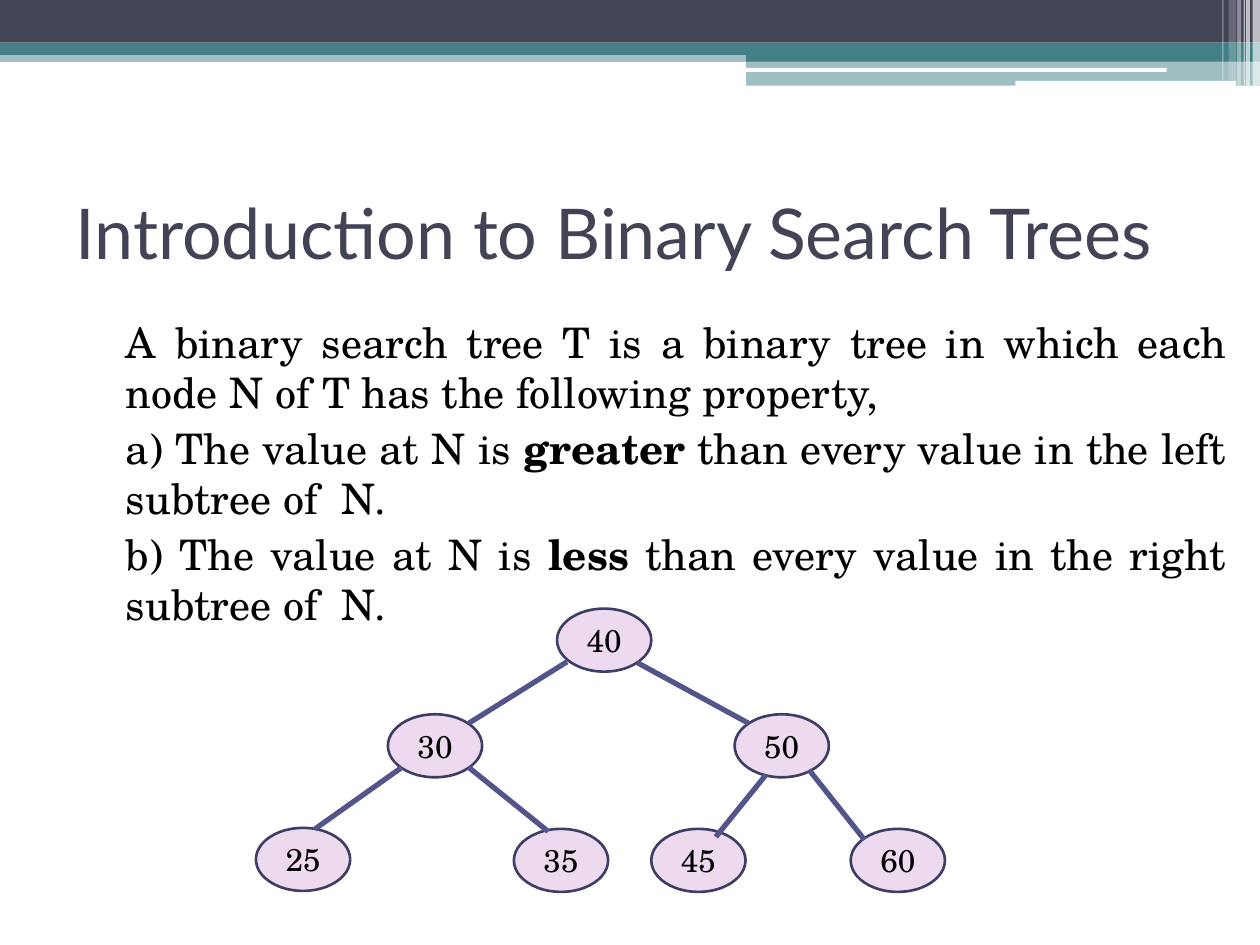
from lxml.etree import SubElement
from pptx import Presentation
from pptx.dml.color import RGBColor
from pptx.enum.shapes import MSO_CONNECTOR, MSO_SHAPE
from pptx.enum.text import MSO_ANCHOR, MSO_AUTO_SIZE, PP_ALIGN
from pptx.oxml.ns import qn
from pptx.util import Cm, Pt

COLOURS = {
    "dark": "424456",
    "teal": "438086",
    "white": "FFFFFF",
    "black": "000000",
    "node": "EDDAEE",
    "outline": "3D3E66",
    "edge": "53548A",
}
TITLE_FONT = "Lato"
BODY_FONT = "TeX Gyre Schola"
WIDTH, HEIGHT = 25.4, 19.05
NODE_WIDTH, NODE_HEIGHT = 1.9, 1.27

BANDS = [
    (0, 1.02, WIDTH, 0.23, "teal", 50),
    (0, 0, WIDTH, 0.86, "dark", 100),
    (0, 0.86, WIDTH, 0.25, "teal", 100),
    (15.04, 0.99, 10.36, 0.25, "teal", 100),
    (15.04, 1.22, 10.36, 0.51, "teal", 50),
]
ROUNDED_BARS = [(15.01, 1.37, 8.51, 0.08), (20.47, 1.63, 4.45, 0.1)]
STRIPES = [
    (25.25, 0.15, 1.73, 65),
    (25.12, 0.08, 1.73, 65),
    (25.07, 0.03, 1.73, 60),
    (24.94, 0.08, 1.73, 40),
    (24.77, 0.15, 1.63, 20),
    (24.64, 0.03, 1.63, 30),
]
PARAGRAPHS = [
    [("A binary search tree T is a binary tree in which each node N of T "
      "has the following property,", False)],
    [("a) The value at N is ", False), ("greater", True),
     (" than every value in the left subtree of  N.", False)],
    [("b) The value at N is ", False), ("less", True),
     (" than every value in the right subtree of  N.", False)],
]
NODES = {
    "40": (11.23, 12.27),
    "30": (7.82, 14.4),
    "50": (14.81, 14.4),
    "25": (5.16, 16.69),
    "35": (10.36, 16.71),
    "45": (13.13, 16.71),
    "60": (17.15, 16.71),
}
EDGES = [
    (11.43, 13.34, 9.45, 14.58),
    (12.85, 13.36, 15.09, 14.58),
    (8.1, 15.47, 6.35, 16.71),
    (9.45, 15.47, 11.05, 16.76),
    (15.44, 15.62, 14.43, 16.87),
    (16.31, 15.52, 17.42, 16.92),
]


def colour(name):
    return RGBColor.from_string(COLOURS[name])


class SlideBuilder:
    def __init__(self, slide):
        self.slide = slide

    def format_font(self, paragraph, name, size, colour_name):
        paragraph.font.name = name
        paragraph.font.size = Pt(size)
        paragraph.font.color.rgb = colour(colour_name)

    def shape(self, kind, left, top, width, height, fill, opacity=100):
        shape = self.slide.shapes.add_shape(
            kind, Cm(left), Cm(top), Cm(width), Cm(height))
        shape.shadow.inherit = False
        shape.fill.solid()
        shape.fill.fore_color.rgb = colour(fill)
        shape.line.fill.background()
        if opacity < 100:
            fill_colour = shape.fill._xPr.find(qn("a:solidFill"))[0]
            SubElement(fill_colour, qn("a:alpha"), val=str(opacity * 1000))
        return shape

    def title(self, text, left, top, width, height):
        title = self.slide.shapes.title
        title.left, title.top = Cm(left), Cm(top)
        title.width, title.height = Cm(width), Cm(height)
        frame = title.text_frame
        frame.text = text
        frame.auto_size = MSO_AUTO_SIZE.NONE
        frame.vertical_anchor = MSO_ANCHOR.MIDDLE
        paragraph = frame.paragraphs[0]
        paragraph.alignment = PP_ALIGN.LEFT
        self.format_font(paragraph, TITLE_FONT, 40, "dark")

    def body(self, paragraphs, left, top, width, height):
        box = self.slide.shapes.add_textbox(
            Cm(left), Cm(top), Cm(width), Cm(height))
        frame = box.text_frame
        frame.word_wrap = True
        for index, runs in enumerate(paragraphs):
            paragraph = frame.add_paragraph() if index else frame.paragraphs[0]
            paragraph.alignment = PP_ALIGN.JUSTIFY
            paragraph.space_before = Pt(3)
            paragraph._p.get_or_add_pPr().set("marL", str(Cm(1.02)))
            self.format_font(paragraph, BODY_FONT, 24, "black")
            for text, bold in runs:
                run = paragraph.add_run()
                run.text = text
                run.font.bold = bold

    def node(self, value, left, top):
        shape = self.shape(
            MSO_SHAPE.OVAL, left, top, NODE_WIDTH, NODE_HEIGHT, "node")
        shape.line.color.rgb = colour("outline")
        shape.line.width = Pt(1.5)
        frame = shape.text_frame
        frame.text = value
        frame.vertical_anchor = MSO_ANCHOR.MIDDLE
        paragraph = frame.paragraphs[0]
        paragraph.alignment = PP_ALIGN.CENTER
        self.format_font(paragraph, BODY_FONT, 18, "black")

    def edge(self, *ends):
        connector = self.slide.shapes.add_connector(
            MSO_CONNECTOR.STRAIGHT, *map(Cm, ends))
        connector.line.color.rgb = colour("edge")
        connector.line.width = Pt(3)
        SubElement(connector._element.spPr, qn("a:effectLst"))


def main():
    presentation = Presentation()
    presentation.slide_width = Cm(WIDTH)
    presentation.slide_height = Cm(HEIGHT)
    slide = presentation.slides.add_slide(presentation.slide_layouts[5])
    builder = SlideBuilder(slide)

    for band in BANDS:
        builder.shape(MSO_SHAPE.RECTANGLE, *band)
    for bar in ROUNDED_BARS:
        builder.shape(MSO_SHAPE.ROUNDED_RECTANGLE, *bar, "white")
    for left, width, height, opacity in STRIPES:
        builder.shape(
            MSO_SHAPE.RECTANGLE, left, 0, width, height, "white", opacity)

    builder.title("Introduction to Binary Search Trees", 1.27, 3.18, 22.86, 2.97)
    builder.body(PARAGRAPHS, 1.27, 6.25, 23.7, 12.01)

    for value, position in NODES.items():
        builder.node(value, *position)
    for ends in EDGES:
        builder.edge(*ends)

    presentation.save("out.pptx")


if __name__ == "__main__":
    main()
